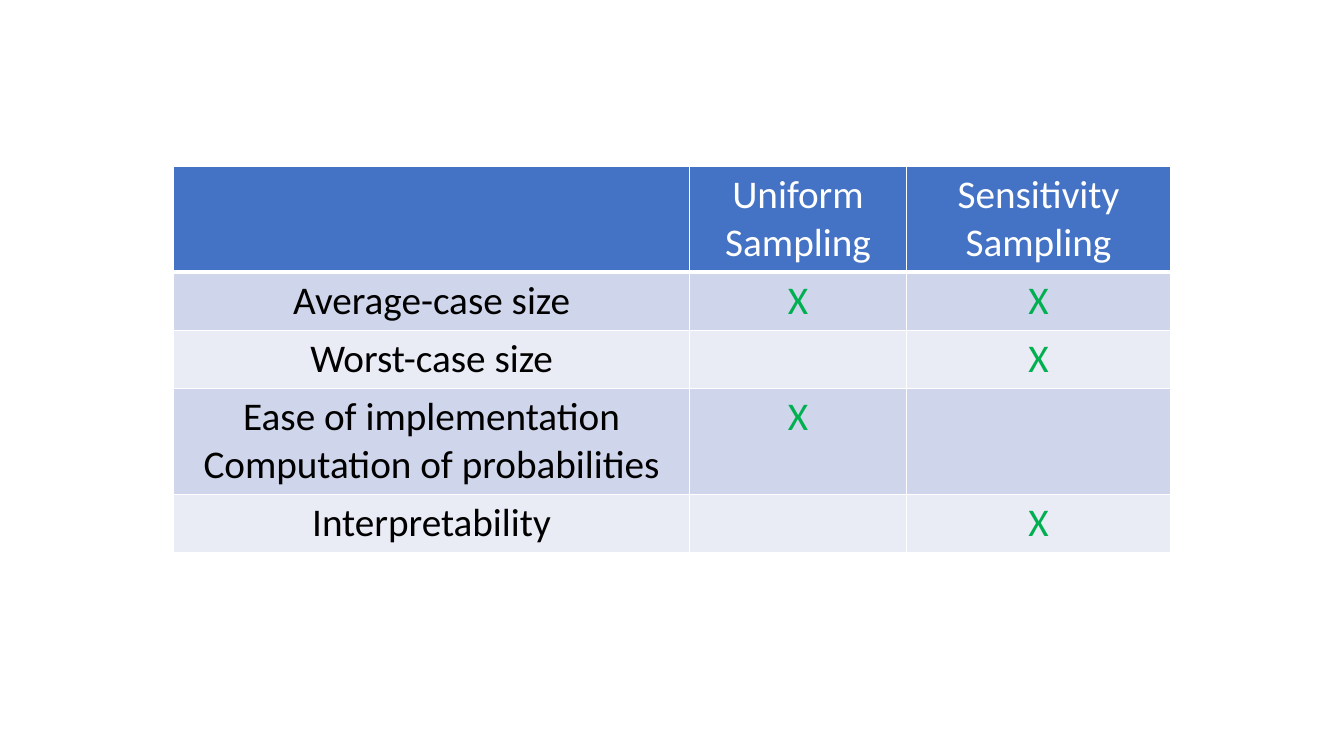
from lxml import etree
from pptx import Presentation
from pptx.dml.color import RGBColor
from pptx.enum import text
from pptx.oxml import ns
from pptx.util import Inches, Pt

COLORS = {
    "header": "4472C4",
    "odd": "CFD5EA",
    "even": "E9EBF5",
    "white": "FFFFFF",
    "black": "000000",
    "mark": "00B050",
}
ROWS = [
    ["", "Uniform Sampling", "Sensitivity Sampling"],
    ["Average-case size", "X", "X"],
    ["Worst-case size", "", "X"],
    ["Ease of implementation\nComputation of probabilities", "X", ""],
    ["Interpretability", "", "X"],
]
COL_WIDTHS = [5.12, 2.15, 2.62]
ROW_HEIGHTS = [1.05, 0.57, 0.57, 1.05, 0.57]


def add_border(cell, side, width):
    tc_pr = cell._tc.get_or_add_tcPr()
    ln = etree.SubElement(tc_pr, ns.qn(f"a:{side}"), w=str(Pt(width)))
    fill = etree.SubElement(ln, ns.qn("a:solidFill"))
    etree.SubElement(fill, ns.qn("a:srgbClr"), val=COLORS["white"])


prs = Presentation()
prs.slide_width = Inches(13.33)
prs.slide_height = Inches(7.5)
s = prs.slides.add_slide(prs.slide_layouts[6])

table = s.shapes.add_table(
    len(ROWS), len(COL_WIDTHS), Inches(1.72), Inches(1.65),
    Inches(sum(COL_WIDTHS)), Inches(sum(ROW_HEIGHTS))
).table
for col, width in zip(table.columns, COL_WIDTHS):
    col.width = Inches(width)
for row, height in zip(table.rows, ROW_HEIGHTS):
    row.height = Inches(height)

for i, labels in enumerate(ROWS):
    band = "header" if i == 0 else "odd" if i % 2 else "even"
    for j, label in enumerate(labels):
        cell = table.cell(i, j)
        for side in ("lnL", "lnR", "lnT", "lnB"):
            header_edge = (i, side) in ((0, "lnB"), (1, "lnT"))
            add_border(cell, side, 3 if header_edge else 1)
        cell.fill.solid()
        cell.fill.fore_color.rgb = RGBColor.from_string(COLORS[band])
        color = "white" if i == 0 else "mark" if j else "black"
        tf = cell.text_frame
        tf.text = label
        for p in tf.paragraphs:
            p.alignment = text.PP_ALIGN.CENTER
            for r in p.runs:
                r.font.name = "Calibri"
                r.font.size = Pt(28)
                r.font.bold = False
                r.font.color.rgb = RGBColor.from_string(COLORS[color])

prs.save("out.pptx")
